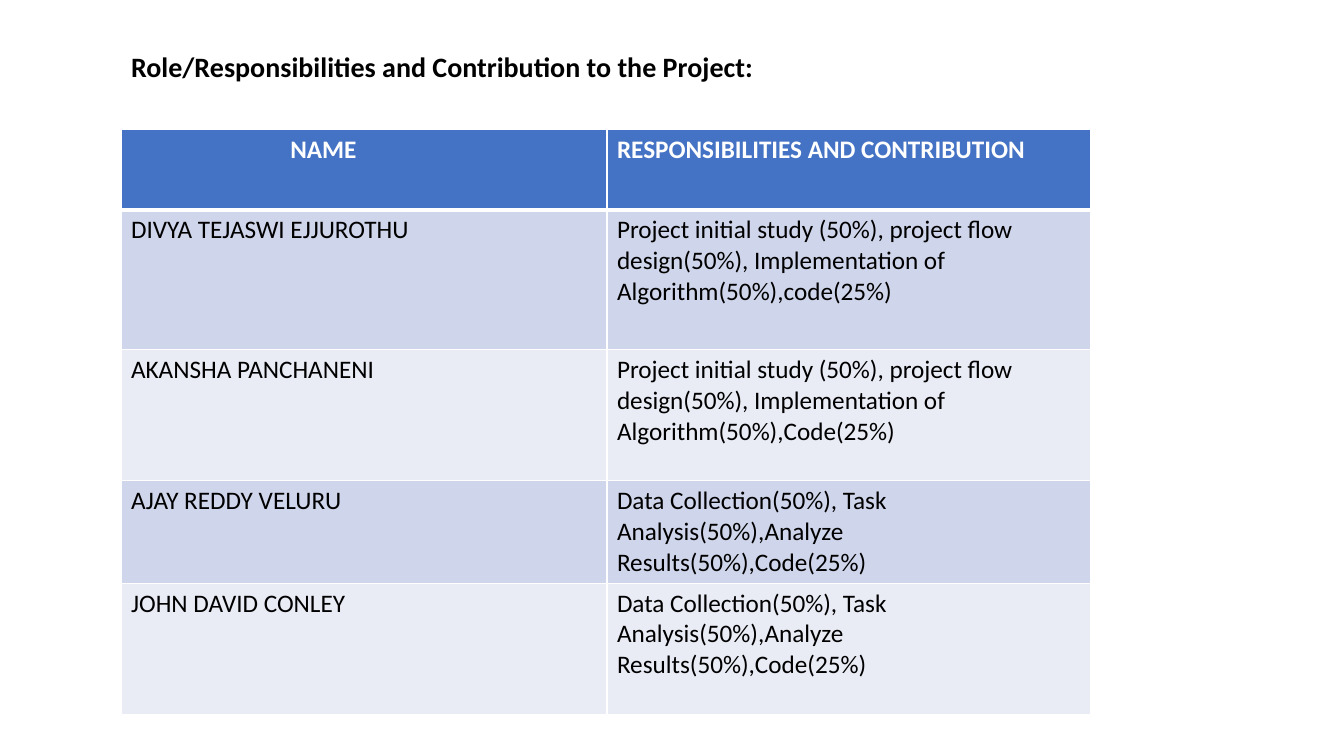
from lxml import etree
from pptx import Presentation
from pptx.dml.color import RGBColor
from pptx.enum.text import MSO_ANCHOR, MSO_AUTO_SIZE, PP_ALIGN
from pptx.oxml.ns import qn
from pptx.util import Inches, Pt

LEFT = PP_ALIGN.LEFT
TOP = MSO_ANCHOR.TOP
FIXED = MSO_AUTO_SIZE.NONE
THEME = {
    "font": "Calibri", "title": 20, "body": 18,
    "ink": "000000", "paper": "FFFFFF", "head": "4472C4",
    "bands": ["CFD5EA", "E9EBF5"],
}
EDGE = 1.2
COLS = [4.82, 4.8]
ROWS = [0.8, 1.39, 1.3, 1.0, 1.3]
INDENT = 1.68

STUDY = "Project initial study (50%), project flow design(50%), Implementation of Algorithm(50%),"
DATA = "Data Collection(50%), Task Analysis(50%),Analyze Results(50%),Code(25%)"
ROLES = [
    ("NAME", "RESPONSIBILITIES AND CONTRIBUTION"),
    ("DIVYA TEJASWI EJJUROTHU", STUDY + "code(25%)"),
    ("AKANSHA PANCHANENI", STUDY + "Code(25%)"),
    ("AJAY REDDY VELURU", DATA),
    ("JOHN DAVID CONLEY", DATA),
]


def style(para, size, color, bold):
    para.alignment = LEFT
    font = para.font
    font.name, font.size, font.bold = THEME["font"], Pt(size), bold
    font.color.rgb = RGBColor.from_string(color)


def border(cell, widths):
    props = cell._tc.get_or_add_tcPr()
    for spot, (side, width) in enumerate(widths.items()):
        line = etree.Element(qn("a:ln" + side), w=str(Pt(width)))
        fill = etree.SubElement(line, qn("a:solidFill"))
        etree.SubElement(fill, qn("a:srgbClr"), val=THEME["paper"])
        props.insert(spot, line)


deck = Presentation()
deck.slide_width, deck.slide_height = Inches(13.33), Inches(7.5)
slide = deck.slides.add_slide(deck.slide_layouts[5])

title = slide.shapes.title
title.left, title.top = Inches(EDGE), Inches(0.44)
title.width, title.height = Inches(sum(COLS)), Inches(0.5)
frame = title.text_frame
frame.text = "Role/Responsibilities and Contribution to the Project:"
frame.vertical_anchor, frame.auto_size = TOP, FIXED
style(frame.paragraphs[0], THEME["title"], THEME["ink"], True)

table = slide.shapes.add_table(
    len(ROWS), len(COLS), Inches(EDGE), Inches(1.28),
    Inches(sum(COLS)), Inches(sum(ROWS))).table
for col, width in zip(table.columns, COLS):
    col.width = Inches(width)

for r, (height, texts) in enumerate(zip(ROWS, ROLES)):
    table.rows[r].height = Inches(height)
    head = r == 0
    shade = THEME["head"] if head else THEME["bands"][(r - 1) % 2]
    color = THEME["paper"] if head else THEME["ink"]
    for c, text in enumerate(texts):
        cell = table.cell(r, c)
        cell.text = text
        cell.fill.solid()
        cell.fill.fore_color.rgb = RGBColor.from_string(shade)
        style(cell.text_frame.paragraphs[0], THEME["body"], color, head)
        border(cell, {"L": 1, "R": 1, "T": 3 if r == 1 else 1, "B": 3 if head else 1})
table.cell(0, 0).margin_left = Inches(INDENT)

deck.save("out.pptx")
